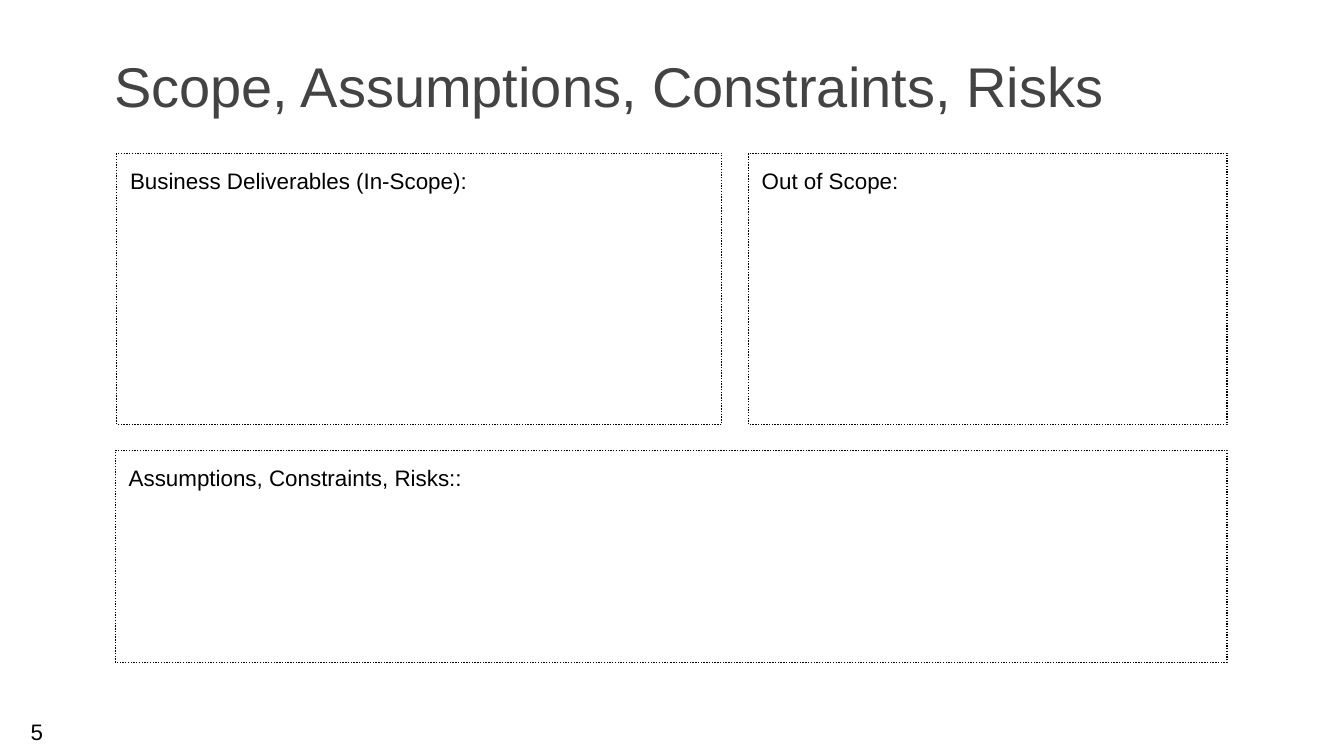
from typing import NamedTuple

from pptx import Presentation
from pptx.dml.color import RGBColor
from pptx.enum import dml, shapes, text
from pptx.util import Pt

BLACK = RGBColor(0x00, 0x00, 0x00)
DARK_GREY = RGBColor(0x43, 0x43, 0x43)
FONT = "Arial"
INSET = 7.2
TOP_ROW, TOP_ROW_HEIGHT = 82.1, 145.4


class Panel(NamedTuple):
    heading: str
    left: float
    top: float
    width: float
    height: float


PANELS = [
    Panel("Assumptions, Constraints, Risks::", 61.9, 241.2, 595.4, 113.8),
    Panel("Business Deliverables (In-Scope):", 62.6, TOP_ROW, 324, TOP_ROW_HEIGHT),
    Panel("Out of Scope:", 401, TOP_ROW, 256.3, TOP_ROW_HEIGHT),
]


def write(frame, wording: str, size: float, color: RGBColor, anchor,
          align=text.PP_ALIGN.LEFT, vertical_inset: float = INSET) -> None:
    frame.word_wrap = True
    frame.auto_size = text.MSO_AUTO_SIZE.NONE
    frame.vertical_anchor = anchor
    frame.margin_left = frame.margin_right = Pt(INSET)
    frame.margin_top = frame.margin_bottom = Pt(vertical_inset)
    paragraph = frame.paragraphs[0]
    paragraph.alignment = align
    run = paragraph.add_run()
    run.text = wording
    run.font.name = FONT
    run.font.size = Pt(size)
    run.font.color.rgb = color


def draw_panel(slide, panel: Panel) -> None:
    outline = slide.shapes.add_shape(
        shapes.MSO_SHAPE.RECTANGLE, Pt(panel.left), Pt(panel.top),
        Pt(panel.width), Pt(panel.height))
    outline.shadow.inherit = False
    outline.fill.background()
    outline.line.color.rgb = BLACK
    outline.line.width = Pt(0.75)
    outline.line.dash_style = dml.MSO_LINE.ROUND_DOT
    write(outline.text_frame, panel.heading, 12, BLACK, text.MSO_ANCHOR.TOP)


def main() -> None:
    deck = Presentation()
    deck.slide_width, deck.slide_height = Pt(720), Pt(405)
    slide = deck.slides.add_slide(deck.slide_layouts.get_by_name("Title Only"))

    title = slide.shapes.title
    title.left, title.top = Pt(54), Pt(26)
    title.width, title.height = Pt(612), Pt(44.6)
    write(title.text_frame, "Scope, Assumptions, Constraints, Risks", 30,
          DARK_GREY, text.MSO_ANCHOR.BOTTOM)

    for panel in PANELS:
        draw_panel(slide, panel)

    page_number = slide.shapes.add_textbox(Pt(0), Pt(381), Pt(39.6), Pt(23))
    write(page_number.text_frame, "5", 12, BLACK, text.MSO_ANCHOR.TOP,
          text.PP_ALIGN.CENTER, vertical_inset=3.6)

    deck.save("out.pptx")


if __name__ == "__main__":
    main()
